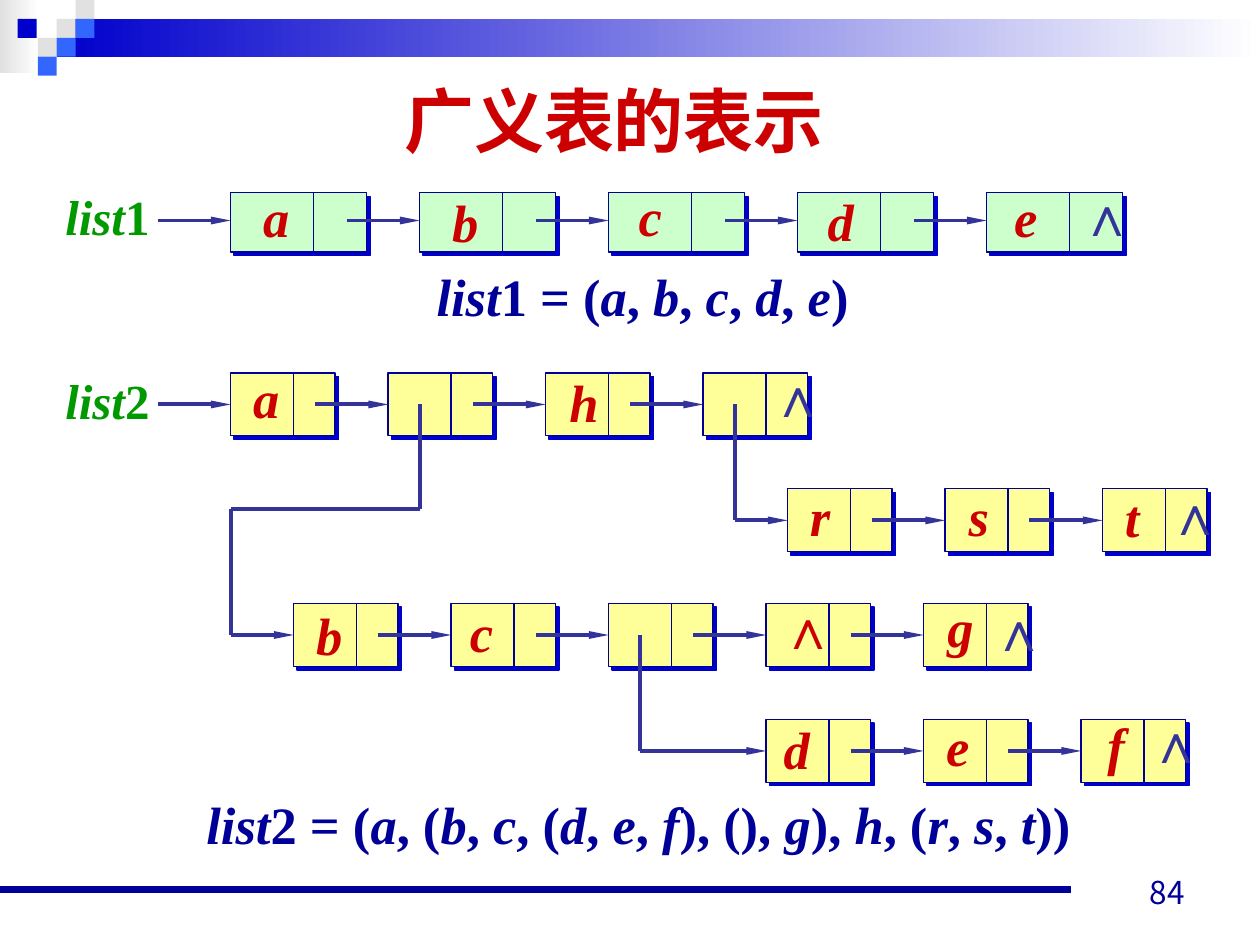
import itertools
from dataclasses import dataclass

import pptx
import pptx.dml.color
import pptx.enum.shapes
import pptx.enum.text
import pptx.oxml
import pptx.oxml.ns
import pptx.util
from pptx.util import Inches


@dataclass(frozen=True)
class Theme:
    navy: str = "000099"
    blue: str = "0000CC"
    sky: str = "3366FF"
    gray: str = "E1E1E1"
    white: str = "FFFFFF"
    red: str = "CC0000"
    green: str = "009900"
    link: str = "333399"
    mint: str = "CCFFCC"
    yellow: str = "FFFF99"
    serif: str = "Times New Roman"
    title_font: str = "Noto Sans CJK SC"
    number_font: str = "Noto Sans CJK JP"
    title_size: int = 40
    formula_size: int = 30
    mark_size: int = 32
    label_size: int = 28
    number_size: int = 18
    thin: float = 0.75
    thick: float = 2.25
    rule: float = 4.5


@dataclass(frozen=True)
class NodeStyle:
    fill: str
    step: float
    width: float
    height: float
    split: float
    link_start: float
    link_height: float


THEME = Theme()
WIDE_NODE = NodeStyle(THEME.mint, 1.5, 1.08, 0.47, 0.66, 0.92, 0.22)
NODE = NodeStyle(THEME.yellow, 1.25, 0.83, 0.5, 0.5, 0.67, 0.25)
GLYPH_WIDTHS = {"c": 0.39, "e": 0.39, "f": 0.34, "h": 0.43, "r": 0.36,
                "s": 0.36, "t": 0.32, "∧": 0.47}
NIL = "∧"


def color(value):
    return pptx.dml.color.RGBColor.from_string(value)


class SlideBuilder:
    def __init__(self, theme, slide):
        self.theme = theme
        self.slide = slide

    def rectangle(self, left, top, width, height, fill, fade_to=None):
        shape = self.slide.shapes.add_shape(
            pptx.enum.shapes.MSO_SHAPE.RECTANGLE,
            Inches(left), Inches(top), Inches(width), Inches(height))
        shape.shadow.inherit = False
        shape.line.fill.background()
        if fade_to:
            shape.fill.gradient()
            shape.fill.gradient_angle = 0
            for stop, value in zip(shape.fill.gradient_stops, (fill, fade_to)):
                stop.color.rgb = color(value)
        else:
            shape.fill.solid()
            shape.fill.fore_color.rgb = color(fill)
        return shape

    def line(self, start, end, value, width, arrow=False):
        connector = self.slide.shapes.add_connector(
            pptx.enum.shapes.MSO_CONNECTOR.STRAIGHT,
            *(Inches(length) for length in (*start, *end)))
        connector.line.color.rgb = color(value)
        connector.line.width = pptx.util.Pt(width)
        if arrow:
            tail = pptx.oxml.ns.qn("a:tailEnd")
            outline = connector.line._get_or_add_ln()
            outline.append(outline.makeelement(
                tail, {"type": "triangle", "w": "sm", "len": "lg"}))
        properties = connector._element.spPr
        properties.append(properties.makeelement(pptx.oxml.ns.qn("a:effectLst"), {}))

    def link(self, *points, arrow=True):
        for index, (start, end) in enumerate(itertools.pairwise(points), 2):
            self.line(start, end, self.theme.link, self.theme.thick,
                      arrow and index == len(points))

    def text(self, words, left, top, width, height, size, value, font=None,
             bold=True, wrap=False, align=None, anchor=None):
        box = self.slide.shapes.add_textbox(
            Inches(left), Inches(top), Inches(width), Inches(height))
        frame = box.text_frame
        frame.word_wrap = wrap
        if anchor:
            frame.vertical_anchor = anchor
        else:
            frame.auto_size = pptx.enum.text.MSO_AUTO_SIZE.SHAPE_TO_FIT_TEXT
        paragraph = frame.paragraphs[0]
        paragraph.alignment = align
        for italic, letters in itertools.groupby(
                words, lambda letter: letter.isascii() and letter.isalpha()):
            run = paragraph.add_run()
            run.text = "".join(letters)
            run.font.name = font or self.theme.serif
            run.font.size = pptx.util.Pt(size)
            run.font.bold = bold
            run.font.italic = italic
            run.font.color.rgb = color(value)
            latin = run.font._element.find(pptx.oxml.ns.qn("a:latin"))
            latin.addnext(latin.makeelement(
                pptx.oxml.ns.qn("a:ea"), {"typeface": run.font.name}))

    def symbol(self, letter, left, top, value):
        size, height = ((self.theme.mark_size, 0.63) if letter == NIL
                        else (self.theme.formula_size, 0.6))
        self.text(letter, left, top, GLYPH_WIDTHS.get(letter, 0.41), height, size, value)

    def node(self, left, top, style):
        shape = self.rectangle(left, top, style.width, style.height, style.fill)
        shape.line.color.rgb = color(self.theme.navy)
        shape.line.width = pptx.util.Pt(self.theme.thin)
        effects = shape._element.spPr.find(pptx.oxml.ns.qn("a:effectLst"))
        effects.append(pptx.oxml.parse_xml(
            f'<a:outerShdw {pptx.oxml.ns.nsdecls("a")} dist="35921" dir="2700000" '
            f'algn="ctr" rotWithShape="0"><a:srgbClr val="{self.theme.blue}"/>'
            '</a:outerShdw>'))
        split = left + style.split
        self.line((split, top), (split, top + style.height),
                  self.theme.navy, self.theme.thin)

    def chain(self, left, top, count, style, symbols, end_mark):
        lefts = [left + index * style.step for index in range(count)]
        for node_left in lefts:
            self.node(node_left, top, style)
        height = top + style.link_height
        for node_left, next_left in itertools.pairwise(lefts):
            self.link((node_left + style.link_start, height), (next_left, height))
        for symbol in symbols:
            self.symbol(*symbol, self.theme.red)
        self.symbol(NIL, *end_mark, self.theme.link)


def main():
    presentation = pptx.Presentation()
    presentation.slide_width = Inches(10)
    presentation.slide_height = Inches(7.5)
    slide = presentation.slides.add_slide(presentation.slide_layouts[6])
    theme = THEME
    builder = SlideBuilder(theme, slide)

    builder.rectangle(0, 0, 0.31, 0.58, theme.gray, theme.white)
    builder.rectangle(0.45, 0.15, 9.55, 0.3, theme.blue, theme.white)
    for left, top, fill in (
            (0.45, 0.15, theme.gray), (0.6, 0, theme.gray), (0.6, 0.15, theme.sky),
            (0.3, 0.3, theme.gray), (0.14, 0.15, theme.blue),
            (0.45, 0.3, theme.sky), (0.3, 0.45, theme.sky)):
        builder.rectangle(left, top, 0.15, 0.15, fill)
    builder.line((0, 7.06), (8.5, 7.06), theme.navy, theme.rule)
    builder.text("84", 7.17, 6.78, 2.33, 0.5, theme.number_size, theme.navy,
                 theme.number_font, bold=False, wrap=True,
                 align=pptx.enum.text.PP_ALIGN.RIGHT,
                 anchor=pptx.enum.text.MSO_ANCHOR.BOTTOM)
    builder.text("广义表的表示", 3.11, 0.57, 4.17, 0.77, theme.title_size, theme.red,
                 theme.title_font, wrap=True)
    builder.text("list1 = (a, b, c, d, e)", 0.62, 2.05, 8.96, 0.6, theme.formula_size,
                 theme.navy, wrap=True, align=pptx.enum.text.PP_ALIGN.CENTER)
    builder.text("list2 = (a, (b, c, (d, e, f), (), g), h, (r, s, t))",
                 1.54, 6.24, 7.21, 0.6, theme.formula_size, theme.navy, wrap=True)

    for name, top, height in (("list1", 1.43, 1.75), ("list2", 2.89, 3.21)):
        builder.text(name, 0.42, top, 0.87, 0.57, theme.label_size, theme.green)
        builder.link((1.25, height), (1.83, height))

    for chain in (
            (1.83, 1.53, 5, WIDE_NODE,
             (("a", 1.99, 1.42), ("b", 3.49, 1.46), ("c", 4.97, 1.41),
              ("d", 6.47, 1.45), ("e", 7.95, 1.42)), (8.47, 1.38)),
            (1.83, 2.96, 4, NODE,
             (("a", 1.91, 2.86), ("h", 4.42, 2.89)), (6.02, 2.82)),
            (6.25, 3.88, 3, NODE,
             (("r", 6.33, 3.79), ("s", 7.59, 3.79), ("t", 8.83, 3.8)), (9.17, 3.76)),
            (2.33, 4.79, 5, NODE,
             (("b", 2.41, 4.74), ("c", 3.63, 4.71), (NIL, 6.1, 4.66),
              ("g", 7.42, 4.67)), (7.77, 4.68)),
            (6.08, 5.71, 3, NODE,
             (("d", 6.12, 5.64), ("e", 7.41, 5.62), ("f", 8.69, 5.61)), (9.02, 5.57))):
        builder.chain(*chain)

    builder.link((3.33, 3.21), (3.33, 4.04), (1.83, 4.04), (1.83, 5.04), (2.33, 5.04))
    builder.link((5.83, 3.21), (5.83, 4.13), (6.25, 4.13))
    builder.link((5.08, 5.04), (5.08, 5.96), (6.08, 5.96))

    presentation.save("out.pptx")


if __name__ == "__main__":
    main()
